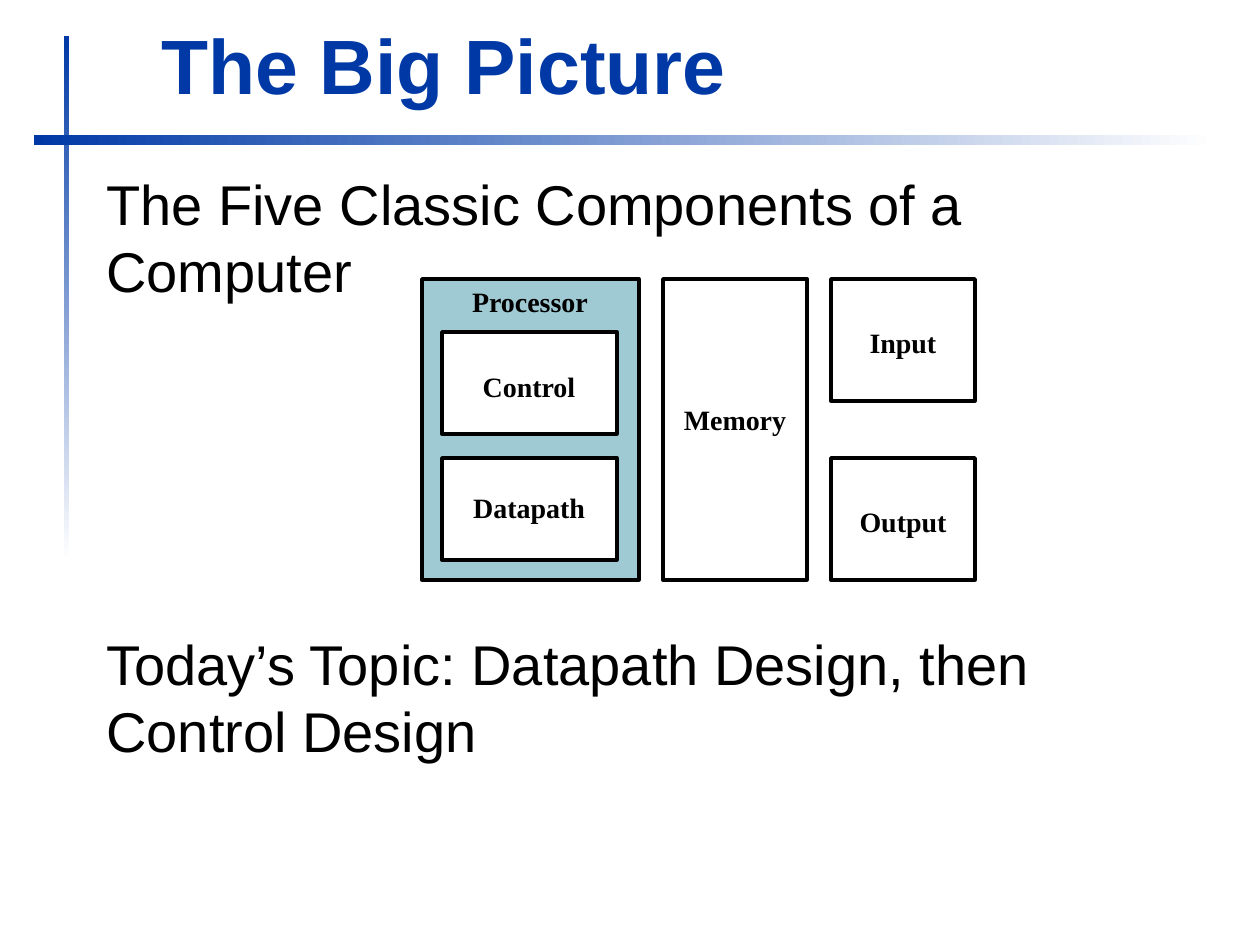
from pptx import Presentation
from pptx.dml.color import RGBColor
from pptx.enum.shapes import MSO_SHAPE
from pptx.enum.text import MSO_ANCHOR, PP_ALIGN
from pptx.util import Inches, Pt

RECT = MSO_SHAPE.RECTANGLE
TOP, BOTTOM = MSO_ANCHOR.TOP, MSO_ANCHOR.BOTTOM
LEFT, CENTER = PP_ALIGN.LEFT, PP_ALIGN.CENTER
BLUE = RGBColor(0x00, 0x39, 0xA6)
TEAL = RGBColor(0x9F, 0xCA, 0xD3)
WHITE = RGBColor(0xFF, 0xFF, 0xFF)
BLACK = RGBColor(0x00, 0x00, 0x00)
SCALE = Inches(1) / 126

HEAD = {"name": "Arial", "size": Pt(44), "bold": True}
BODY = {"name": "Arial", "size": Pt(32), "bold": False}
LABEL = {"name": "Times New Roman", "size": Pt(16), "bold": True}

PARTS = [
    ("Processor", (0, 0, 217, 301), TEAL, 148, -1),
    ("Control", (20, 53, 175, 102), WHITE, 126, 31),
    ("Datapath", (20, 179, 175, 102), WHITE, 144, 26),
    ("Memory", (241, 0, 144, 301), None, 138, 117),
    ("Input", (409, 0, 144, 122), None, 100, 40),
    ("Output", (409, 179, 144, 122), None, 120, 40),
]


def emu(box):
    """Turn px lengths into EMU."""
    return [round(n * SCALE) for n in box]


def add_rect(shapes, box):
    """Add a plain rectangle without shadow."""
    rect = shapes.add_shape(RECT, *emu(box))
    rect.shadow.inherit = False
    return rect


def add_text(shapes, box, lines, style, color=BLACK, wrap=True, anchor=TOP, align=LEFT):
    """Add a text box and return its paragraphs."""
    frame = shapes.add_textbox(*emu(box)).text_frame
    frame.word_wrap = wrap
    frame.vertical_anchor = anchor
    frame.text = "\n".join(lines)
    for para in frame.paragraphs:
        para.alignment = align
        for key, value in style.items():
            setattr(para.font, key, value)
        para.font.color.rgb = color
    return frame.paragraphs


def add_rule(shapes, box, angle):
    """Add a bar that fades from blue to white."""
    rule = add_rect(shapes, box)
    rule.line.fill.background()
    rule.fill.gradient()
    rule.fill.gradient_angle = angle
    for stop, color, place in zip(rule.fill.gradient_stops, (BLUE, WHITE), (0, 1)):
        stop.color.rgb = color
        stop.position = place


def add_head(shapes, box):
    """Place the two crossing rules and the title."""
    x, y, w, h = box
    add_rule(shapes, (x + 30, y + 26, 5, 525), 270)
    add_rule(shapes, (x, y + 125, w, h), 0)
    add_text(shapes, (x + 115, y, 922, 106), ["The Big Picture"], HEAD, BLUE, anchor=BOTTOM)


def add_body(shapes, box):
    """Place the two statements with room for the diagram between."""
    lines = [
        "The Five Classic Components of a Computer",
        "Today’s Topic: Datapath Design, then Control Design",
    ]
    paras = add_text(shapes, box, lines, BODY)
    paras[1].space_before = Pt(186)


def add_diagram(shapes, left, top):
    """Place the labelled computer parts in one group."""
    group = shapes.add_group_shape().shapes
    for name, (x, y, w, h), color, span, drop in PARTS:
        x, y = left + x, top + y
        rect = add_rect(group, (x, y, w, h))
        if color is None:
            rect.fill.background()
        else:
            rect.fill.solid()
            rect.fill.fore_color.rgb = color
        rect.line.color.rgb = BLACK
        rect.line.width = Pt(2)
        spot = (x + (w - span) // 2, y + drop, span, 45)
        add_text(group, spot, [name], LABEL, wrap=False, align=CENTER)


def main():
    """Build and save the slide."""
    deck = Presentation()
    deck.slide_width, deck.slide_height = Inches(10), Inches(7.5)
    shapes = deck.slides.add_slide(deck.slide_layouts[6]).shapes
    add_head(shapes, (34, 10, 1181, 10))
    add_body(shapes, (94, 163, 1136, 534))
    add_diagram(shapes, 422, 279)
    deck.save("out.pptx")


if __name__ == "__main__":
    main()
